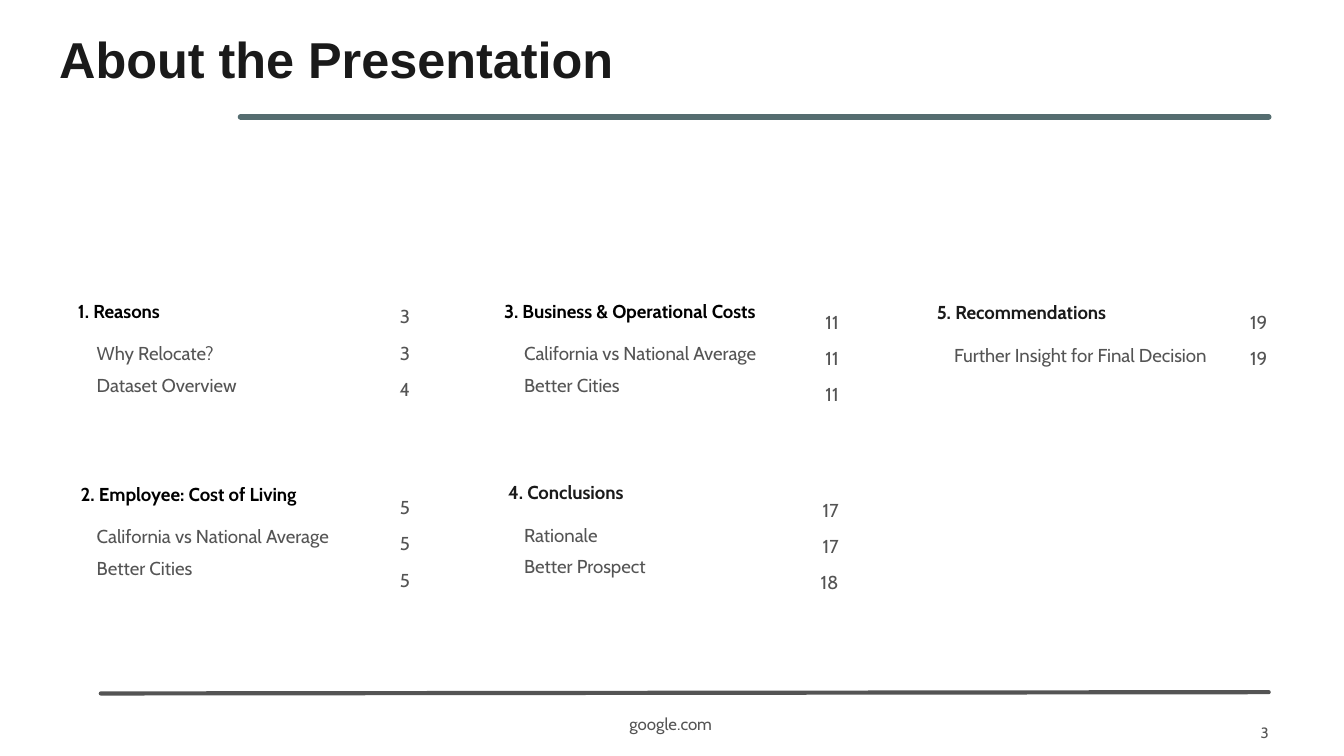
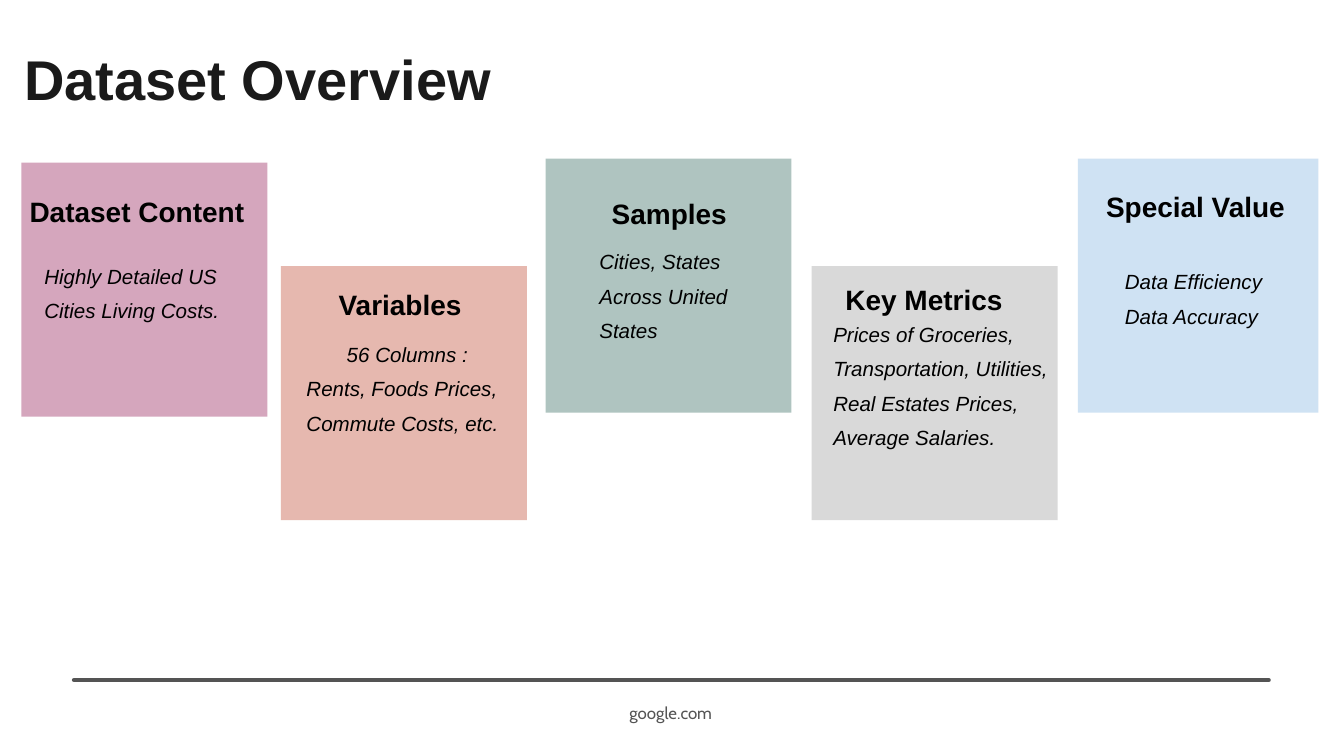
from dataclasses import dataclass

from lxml import etree
from pptx import Presentation
from pptx.dml.color import RGBColor
from pptx.enum.shapes import MSO_CONNECTOR, MSO_SHAPE
from pptx.enum.text import MSO_ANCHOR, MSO_AUTO_SIZE, PP_ALIGN
from pptx.oxml.ns import qn
from pptx.util import Inches, Pt

LEFT, CENTER, RIGHT = PP_ALIGN.LEFT, PP_ALIGN.CENTER, PP_ALIGN.RIGHT
TOP = MSO_ANCHOR.TOP
NO_AUTOFIT = MSO_AUTO_SIZE.NONE
STRAIGHT = MSO_CONNECTOR.STRAIGHT
RECTANGLE = MSO_SHAPE.RECTANGLE

SLIDE_WIDTH = Inches(10)
SLIDE_HEIGHT = SLIDE_WIDTH * 9 // 16
TITLE_FONT, BODY_FONT = "Arial", "Cabin"
INK, GRAY, BLACK, TEAL = "1A1A1A", "545454", "000000", "556D70"
RIGHT_EDGE = 9.44
TITLE_ONLY = 5

ITEM_LEFTS = [0.72, 3.9, 7.1]
PAGE_LEFTS = [2.74, 5.93, 9.12]
CARD_WIDTH, CARD_HEIGHT = 1.83, 1.89


@dataclass
class Section:
    column: int
    heading: str
    left: float
    top: float
    items: list
    pages: list
    pages_top: float
    color: str = BLACK


@dataclass
class Card:
    left: float
    top: float
    fill: str
    heading: str
    heading_box: tuple
    body: str
    body_box: tuple
    heading_align: PP_ALIGN = LEFT
    first_indent: float = 0
    width: float = CARD_WIDTH


SECTIONS = [
    Section(0, "1. Reasons", 0.58, 2.23,
            ["Why Relocate?", "Dataset Overview"], [3, 3, 4], 2.17),
    Section(0, "2. Employee: Cost of Living", 0.6, 3.59,
            ["California vs National Average", "Better Cities"], [5, 5, 5], 3.59),
    Section(1, "3. Business & Operational Costs", 3.75, 2.23,
            ["California vs National Average", "Better Cities"], [11, 11, 11], 2.21),
    Section(1, "4. Conclusions", 3.78, 3.58,
            ["Rationale", "Better Prospect"], [17, 17, 18], 3.61, INK),
    Section(2, "5. Recommendations", 6.97, 2.24,
            ["Further Insight for Final Decision"], [19, 19], 2.21, INK),
]

CARDS = [
    Card(0.16, 1.21, "D5A6BD", "Dataset Content", (0.22, 1.35, 1.7, 0.25),
         "Highly Detailed US Cities Living Costs.", (0.33, 1.89, 1.57, 0.44)),
    Card(2.09, 1.98, "E6B8AF", "Variables", (2.52, 2.04, 0.93, 0.25),
         "56 Columns :\nRents, Foods Prices,\nCommute Costs, etc.",
         (2.28, 2.47, 1.49, 0.96), first_indent=0.3),
    Card(4.06, 1.18, "AFC4C0", "Samples", (4.02, 1.36, 1.92, 0.25),
         "Cities, States Across United States", (4.46, 1.78, 1.1, 0.96),
         heading_align=CENTER),
    Card(6.04, 1.98, "D9D9D9", "Key Metrics", (6.29, 2, 1.35, 0.25),
         "Prices of Groceries, Transportation, Utilities, Real Estates Prices, "
         "Average Salaries.", (6.2, 2.32, 1.62, 1.22)),
    Card(8.02, 1.18, "CFE2F3", "Special Value", (8.23, 1.31, 1.4, 0.25),
         "Data Efficiency\nData Accuracy", (8.37, 1.93, 1.1, 0.45), width=1.79),
]


def rgb(hex_color):
    return RGBColor.from_string(hex_color)


def write(frame, text, size, font, color, bold=False, italic=False,
          align=LEFT, spacing=1.0):
    """Fill a text frame without insets and give all its text one style."""
    frame.text = text
    frame.word_wrap = True
    frame.auto_size = NO_AUTOFIT
    frame.vertical_anchor = TOP
    frame.margin_left = frame.margin_right = 0
    frame.margin_top = frame.margin_bottom = 0
    for paragraph in frame.paragraphs:
        paragraph.alignment = align
        paragraph.line_spacing = spacing
        for run in paragraph.runs:
            run.font.size = Pt(size)
            run.font.name = font
            run.font.bold = bold
            run.font.italic = italic
            run.font.color.rgb = rgb(color)


def add_text(slide, box, text, size, font, color, **style):
    frame = slide.shapes.add_textbox(*map(Inches, box)).text_frame
    write(frame, text, size, font, color, **style)
    return frame


def add_title(slide, box, text, size):
    title = slide.shapes.title
    title.left, title.top, title.width, title.height = map(Inches, box)
    write(title.text_frame, text, size, TITLE_FONT, INK, bold=True)


def add_rule(slide, start, end, color, weight):
    """Draw a straight line with round ends and no shadow."""
    rule = slide.shapes.add_connector(STRAIGHT, *map(Inches, start + end))
    rule.line.color.rgb = rgb(color)
    rule.line.width = Pt(weight)
    rule.line._get_or_add_ln().set("cap", "rnd")
    etree.SubElement(rule._element.spPr, qn("a:effectLst"))


def add_footer(slide, rule_left, rule_top, rule_end, site_top):
    add_rule(slide, (rule_left, rule_top), (RIGHT_EDGE, rule_end), GRAY, 2.25)
    add_text(slide, (4.03, site_top, 1.92, 0.15), "google.com", 9, BODY_FONT, GRAY,
             align=CENTER, spacing=1.4)


def add_section(slide, section):
    add_text(slide, (section.left, section.top, 2.38, 0.17), section.heading,
             10, BODY_FONT, section.color, bold=True)
    add_text(slide, (ITEM_LEFTS[section.column], section.top + 0.25, 2.14,
                     0.2 * len(section.items)),
             "\n".join(section.items), 10, BODY_FONT, GRAY, spacing=1.4)
    add_text(slide, (PAGE_LEFTS[section.column], section.pages_top, 0.31,
                     0.24 * len(section.pages)),
             "\n".join(map(str, section.pages)), 10, BODY_FONT, GRAY,
             align=RIGHT, spacing=1.61)


def add_card(slide, card):
    panel = slide.shapes.add_shape(
        RECTANGLE, *map(Inches, (card.left, card.top, card.width, CARD_HEIGHT)))
    panel.shadow.inherit = False
    panel.fill.solid()
    panel.fill.fore_color.rgb = rgb(card.fill)
    panel.line.fill.background()
    add_text(slide, card.heading_box, card.heading, 15, TITLE_FONT, BLACK,
             bold=True, align=card.heading_align, spacing=1.4)
    body = add_text(slide, card.body_box, card.body, 11, TITLE_FONT, BLACK,
                    italic=True, spacing=1.4)
    if card.first_indent:
        properties = body.paragraphs[0]._p.get_or_add_pPr()
        properties.set("marL", str(Inches(card.first_indent)))


def build_agenda(slide):
    add_title(slide, (0.44, 0.21, 4.48, 0.45), "About the Presentation", 27)
    add_rule(slide, (1.79, 0.87), (RIGHT_EDGE, 0.87), TEAL, 3)
    for section in SECTIONS:
        add_section(slide, section)
    add_footer(slide, 0.75, 5.16, 5.15, 5.25)
    add_text(slide, (8.95, 5.33, 0.49, 0.13), "3", 8, BODY_FONT, GRAY,
             align=RIGHT, spacing=1.4)


def build_dataset(slide):
    add_title(slide, (0.18, 0.33, 5.86, 0.5), "Dataset Overview", 30)
    for card in CARDS:
        add_card(slide, card)
    add_footer(slide, 0.55, 5.06, 5.06, 5.17)


def main():
    deck = Presentation()
    deck.slide_width, deck.slide_height = SLIDE_WIDTH, SLIDE_HEIGHT
    for build in (build_agenda, build_dataset):
        build(deck.slides.add_slide(deck.slide_layouts[TITLE_ONLY]))
    deck.save("out.pptx")


if __name__ == "__main__":
    main()
